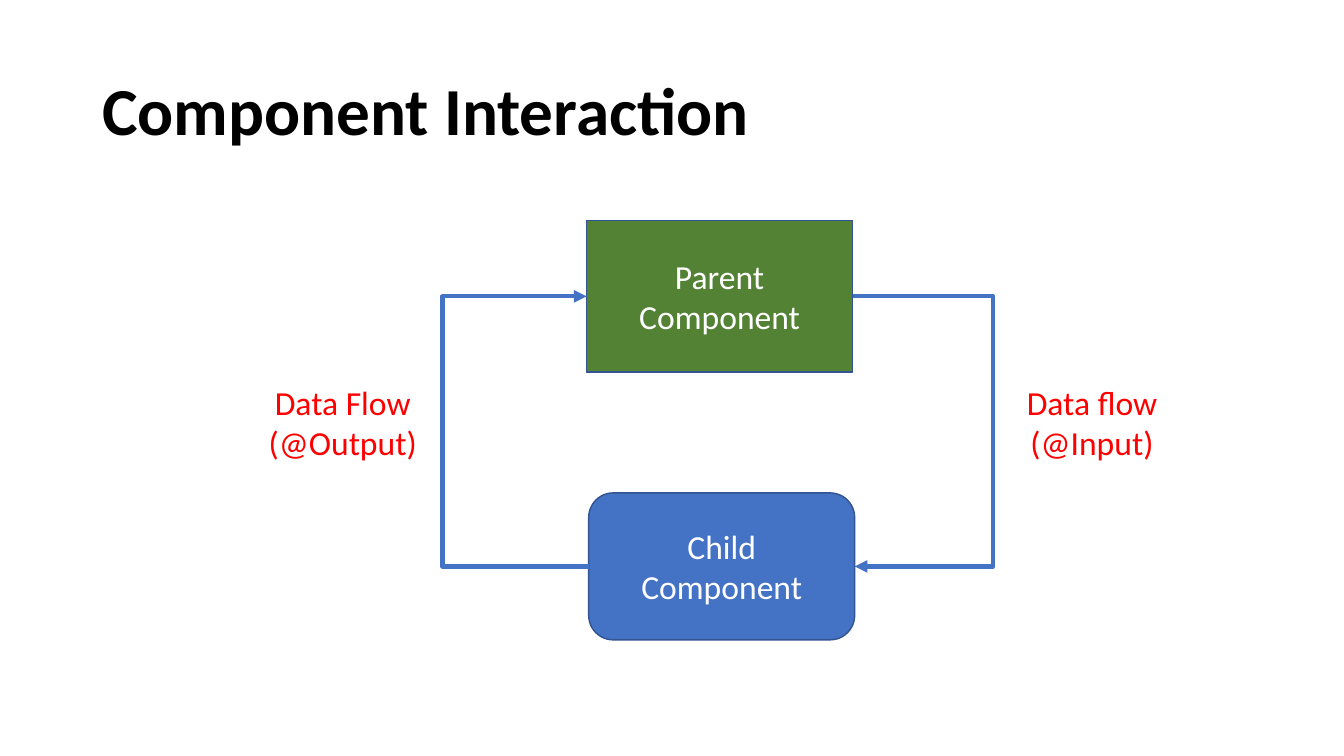
"""Builds the Component Interaction slide."""
from dataclasses import dataclass

from lxml import etree
from pptx import Presentation
from pptx.dml.color import RGBColor
from pptx.enum.shapes import MSO_CONNECTOR, MSO_SHAPE
from pptx.enum.text import MSO_ANCHOR, PP_ALIGN
from pptx.oxml.ns import qn
from pptx.shapes.autoshape import Shape
from pptx.slide import Slide
from pptx.text.text import TextFrame
from pptx.util import Pt

FONT = "Calibri"
BLACK = RGBColor(0x00, 0x00, 0x00)
WHITE = RGBColor(0xFF, 0xFF, 0xFF)
RED = RGBColor(0xFF, 0x00, 0x00)
GREEN = RGBColor(0x54, 0x82, 0x35)
BLUE = RGBColor(0x44, 0x72, 0xC4)
OUTLINE = RGBColor(0x32, 0x54, 0x91)


@dataclass(frozen=True)
class Area:
    """A rectangle on the slide, in points."""
    left: float
    top: float
    width: float
    height: float

    def lengths(self) -> tuple[Pt, Pt, Pt, Pt]:
        """Return left, top, width and height as lengths."""
        return Pt(self.left), Pt(self.top), Pt(self.width), Pt(self.height)


@dataclass(frozen=True)
class Component:
    """A filled box that stands for a component."""
    lines: tuple[str, ...]
    area: Area
    preset: MSO_SHAPE
    fill: RGBColor


@dataclass(frozen=True)
class Label:
    """Text without a box."""
    lines: tuple[str, ...]
    area: Area
    color: RGBColor = RED
    size: float = 24
    bold: bool = False
    align: PP_ALIGN = PP_ALIGN.CENTER
    spacing: float = 1.0


@dataclass(frozen=True)
class Flow:
    """A bent arrow along a vertical lane between one side of both boxes."""
    side: int  # connection site: 1 is left, 3 is right
    lane_x: float
    arrow_end: str  # headEnd points at the parent, tailEnd at the child


PARENT = Component(("Parent", "Component"), Area(419, 157.7, 190, 108),
                   MSO_SHAPE.RECTANGLE, GREEN)
CHILD = Component(("Child", "Component"), Area(420.5, 352.1, 190, 105),
                  MSO_SHAPE.ROUNDED_RECTANGLE, BLUE)
FLOWS = (Flow(3, 709.2, "tailEnd"), Flow(1, 316.2, "headEnd"))
LABELS = (
    Label(("Component Interaction",), Area(66, 28.8, 828, 104.4), BLACK, 48,
          True, PP_ALIGN.LEFT, 0.9),
    Label(("Data flow", "(@Input)"), Area(720, 265.7, 120, 71.3)),
    Label(("Data Flow", "(@Output)"), Area(180.7, 265.7, 128.2, 71.3)),
)


def write_lines(frame: TextFrame, label: Label) -> None:
    """Write one paragraph per line, vertically centred."""
    frame.word_wrap = True
    frame.vertical_anchor = MSO_ANCHOR.MIDDLE
    for index, line in enumerate(label.lines):
        paragraph = frame.add_paragraph() if index else frame.paragraphs[0]
        paragraph.alignment = label.align
        paragraph.line_spacing = label.spacing
        run = paragraph.add_run()
        run.text = line
        run.font.name = FONT
        run.font.size = Pt(label.size)
        run.font.bold = label.bold
        run.font.color.rgb = label.color


def add_label(slide: Slide, label: Label) -> None:
    """Add a text box."""
    box = slide.shapes.add_textbox(*label.area.lengths())
    write_lines(box.text_frame, label)


def add_component(slide: Slide, component: Component) -> Shape:
    """Add a component box with its name."""
    box = slide.shapes.add_shape(component.preset, *component.area.lengths())
    box.shadow.inherit = False
    box.fill.solid()
    box.fill.fore_color.rgb = component.fill
    box.line.color.rgb = OUTLINE
    box.line.width = Pt(1)
    write_lines(box.text_frame, Label(component.lines, component.area, WHITE))
    return box


def add_flow(slide: Slide, flow: Flow, parent: Shape, child: Shape) -> None:
    """Connect parent and child by way of the flow's lane."""
    arrow = slide.shapes.add_connector(MSO_CONNECTOR.ELBOW, 0, 0, 0, 0)
    arrow.begin_connect(parent, flow.side)
    arrow.end_connect(child, flow.side)
    arrow.line.color.rgb = BLUE
    arrow.line.width = Pt(3)

    properties = arrow.element.spPr
    span = arrow.end_x - arrow.begin_x
    bend = round((Pt(flow.lane_x) - arrow.begin_x) / span * 100000)
    adjustments = properties.find(qn("a:prstGeom")).get_or_add_avLst()
    etree.SubElement(adjustments, qn("a:gd"), name="adj1", fmla=f"val {bend}")
    etree.SubElement(properties.find(qn("a:ln")), qn(f"a:{flow.arrow_end}"),
                     type="triangle")
    etree.SubElement(properties, qn("a:effectLst"))


def main() -> None:
    """Build and save the slide."""
    presentation = Presentation()
    presentation.slide_width, presentation.slide_height = Pt(960), Pt(540)
    slide = presentation.slides.add_slide(presentation.slide_layouts[6])
    parent = add_component(slide, PARENT)
    child = add_component(slide, CHILD)
    for flow in FLOWS:
        add_flow(slide, flow, parent, child)
    for label in LABELS:
        add_label(slide, label)
    presentation.save("out.pptx")


main()
